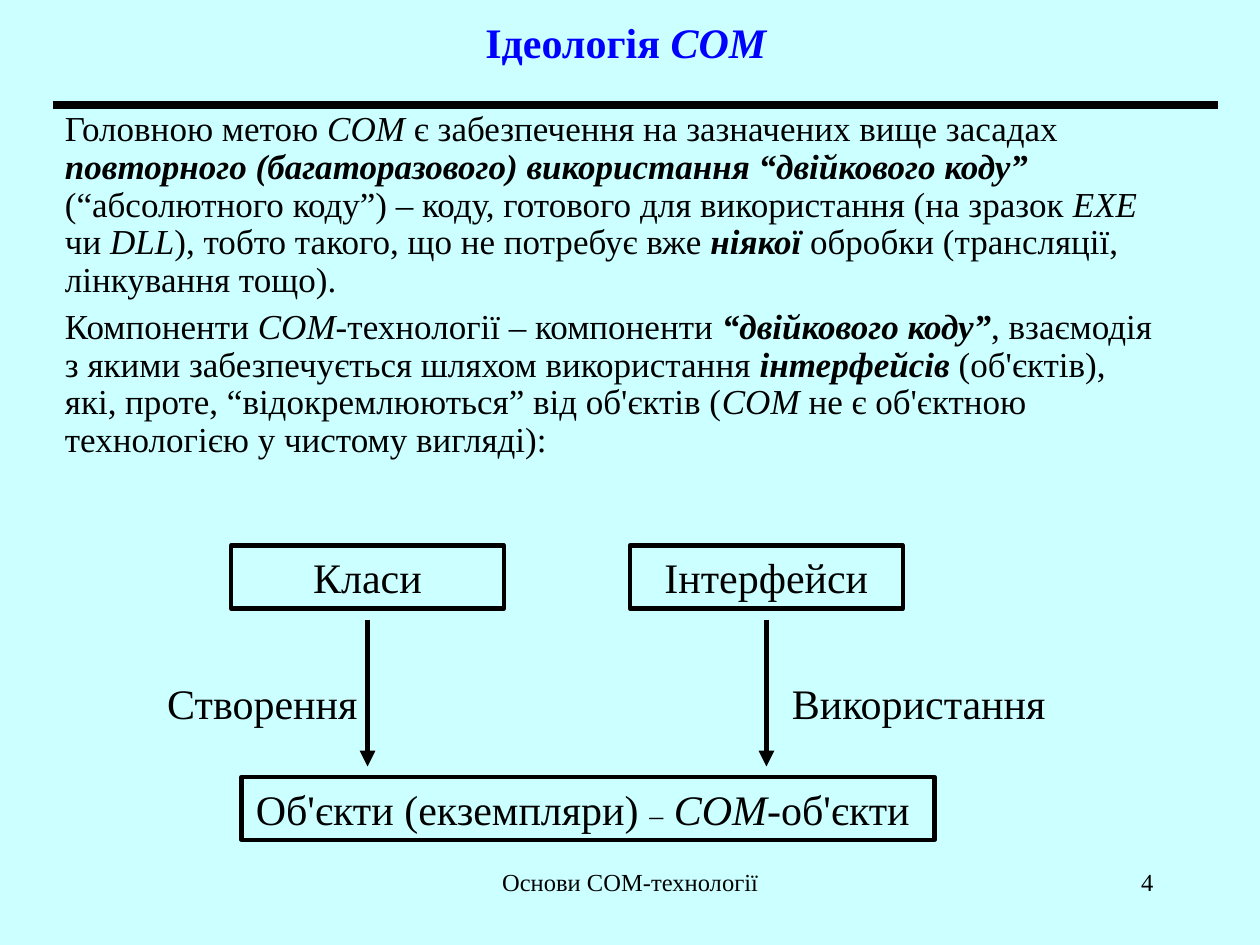
from lxml import etree
from pptx import Presentation
from pptx.dml.color import RGBColor
from pptx.enum import shapes, text
from pptx.oxml.ns import qn
from pptx.util import Cm, Pt

BLACK = RGBColor(0x00, 0x00, 0x00)
BLUE = RGBColor(0x00, 0x00, 0xFF)
PALE_CYAN = RGBColor(0xCC, 0xFF, 0xFF)
FONT = "Times New Roman"
CENTER = text.PP_ALIGN.CENTER

GOAL = [
    ("Головною метою ", ""), ("COM", "i"),
    (" є забезпечення на зазначених вище засадах ", ""),
    ("повторного (багаторазового) використання “двійкового коду”", "bi"),
    (" (“абсолютного коду”) – коду, готового для використання (на зразок ", ""),
    ("EXE", "i"), (" чи ", ""), ("DLL", "i"),
    ("), тобто такого, що не потребує вже ", ""), ("ніякої", "bi"),
    (" обробки (трансляції, лінкування тощо).", ""),
]
COMPONENTS = [
    ("Компоненти", ""), (" COM-", "i"), ("технології – компоненти ", ""),
    ("“двійкового коду”", "bi"),
    (", взаємодія з якими забезпечується шляхом використання ", ""),
    ("інтерфейсів", "bi"),
    (" (об'єктів), які, проте, “відокремлюються” від об'єктів (", ""),
    ("COM", "i"), (" не є об'єктною технологією у чистому вигляді):", ""),
]
OBJECTS = [("Об'єкти (екземпляри) ", ""), ("–", "", 16), (" ", ""),
           ("COM-", "i"), ("об'єкти ", "")]


def add_text(parent, box, paragraphs, size=24, color=BLACK, align=CENTER,
             anchor=text.MSO_ANCHOR.TOP, spacing=None, gap=0, border=None):
    left, top, width, height = (Cm(v) for v in box)
    if border:
        sp = parent.add_shape(shapes.MSO_SHAPE.RECTANGLE, left, top, width, height)
        sp.shadow.inherit = False
        sp.fill.background()
        sp.line.color.rgb = BLACK
        sp.line.width = Pt(border)
    else:
        sp = parent.add_textbox(left, top, width, height)
    tf = sp.text_frame
    tf.word_wrap = True
    tf.vertical_anchor = anchor
    for i, runs in enumerate(paragraphs):
        p = tf.add_paragraph() if i else tf.paragraphs[0]
        p.alignment = align
        if spacing:
            p.line_spacing = spacing
        if i:
            p.space_before = Pt(gap)
        for content, style, *own_size in runs:
            r = p.add_run()
            r.text = content
            r.font.name = FONT
            r.font.size = Pt(own_size[0] if own_size else size)
            r.font.color.rgb = color
            r.font.bold = "b" in style
            r.font.italic = "i" in style
    return sp


def add_line(parent, start, end, width, arrow=False):
    cx = parent.add_connector(shapes.MSO_CONNECTOR.STRAIGHT,
                              *(Cm(v) for v in (*start, *end)))
    cx.line.color.rgb = BLACK
    cx.line.width = Pt(width)
    if arrow:
        etree.SubElement(cx.line._get_or_add_ln(), qn("a:tailEnd"), type="triangle")
    etree.SubElement(cx._element.spPr, qn("a:effectLst"))


def add_header(s, left, top, width, height):
    add_text(s.shapes, (left + 0.85, top, 21.59, 1.7),
             [[("Ідеологія ", "b"), ("COM", "bi"), (" ", "b", 20)]],
             color=BLUE, anchor=text.MSO_ANCHOR.MIDDLE)
    add_line(s.shapes, (left, top + height), (left + width, top + height), 4.5)


def add_body(s, left, top, width, height):
    add_text(s.shapes, (left, top, width, height), [GOAL, COMPONENTS], size=20,
             align=text.PP_ALIGN.LEFT, spacing=0.9, gap=5)


def add_diagram(s, left, top, width, height):
    group = s.shapes.add_group_shape().shapes
    box_w, box_h = 5.5, 1.27
    label_top = top + 2.54
    for x, name in ((2.12, "Класи"), (10.16, "Інтерфейси")):
        add_text(group, (left + x, top, box_w, box_h), [[(name, "")]], border=2.5)
        middle = left + x + box_w / 2
        add_line(group, (middle, top + 1.49), (middle, top + 4.45), 3, arrow=True)
    add_text(group, (left, label_top, box_w, box_h), [[("Створення", "")]])
    add_text(group, (left + width - 5.72, label_top, 5.72, box_h),
             [[("Використання", "")]])
    add_text(group, (left + 2.33, top + height - box_h, 13.97, box_h),
             [OBJECTS], border=2.5)


def add_footer(s, left, top, width, height):
    add_text(s.shapes, (left, top, 8.05, height),
             [[("Основи COM-технології", "")]], size=14)
    add_text(s.shapes, (left + width - 5.28, top, 5.28, height),
             [[("4", "")]], size=14, align=text.PP_ALIGN.RIGHT)


def main():
    prs = Presentation()
    prs.slide_width, prs.slide_height = Cm(25.4), Cm(19.05)
    s = prs.slides.add_slide(prs.slide_layouts[6])
    s.background.fill.solid()
    s.background.fill.fore_color.rgb = PALE_CYAN
    add_header(s, 1.06, 0, 23.5, 2.12)
    add_body(s, 1.06, 2.12, 22.66, 15.24)
    add_diagram(s, 2.54, 11, 18.84, 5.93)
    add_footer(s, 8.68, 17.36, 14.82, 1.27)
    prs.save("out.pptx")


if __name__ == "__main__":
    main()
